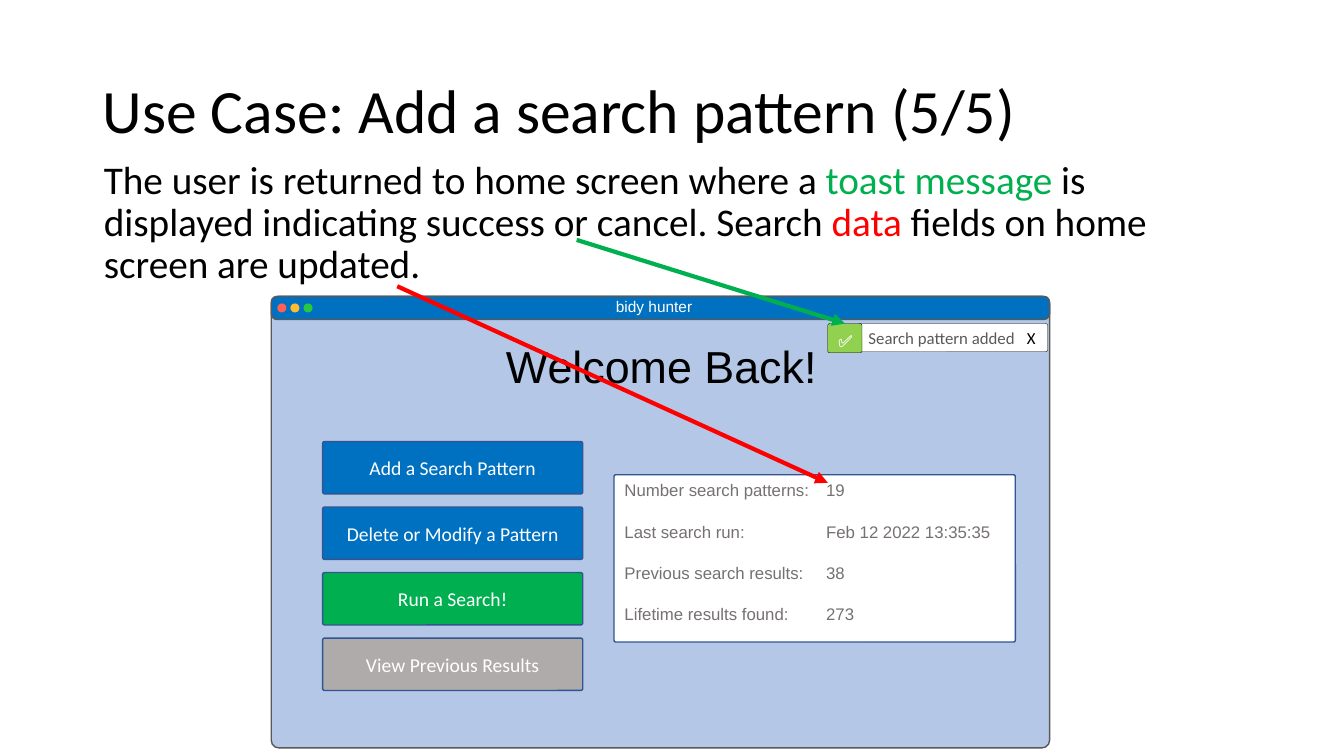
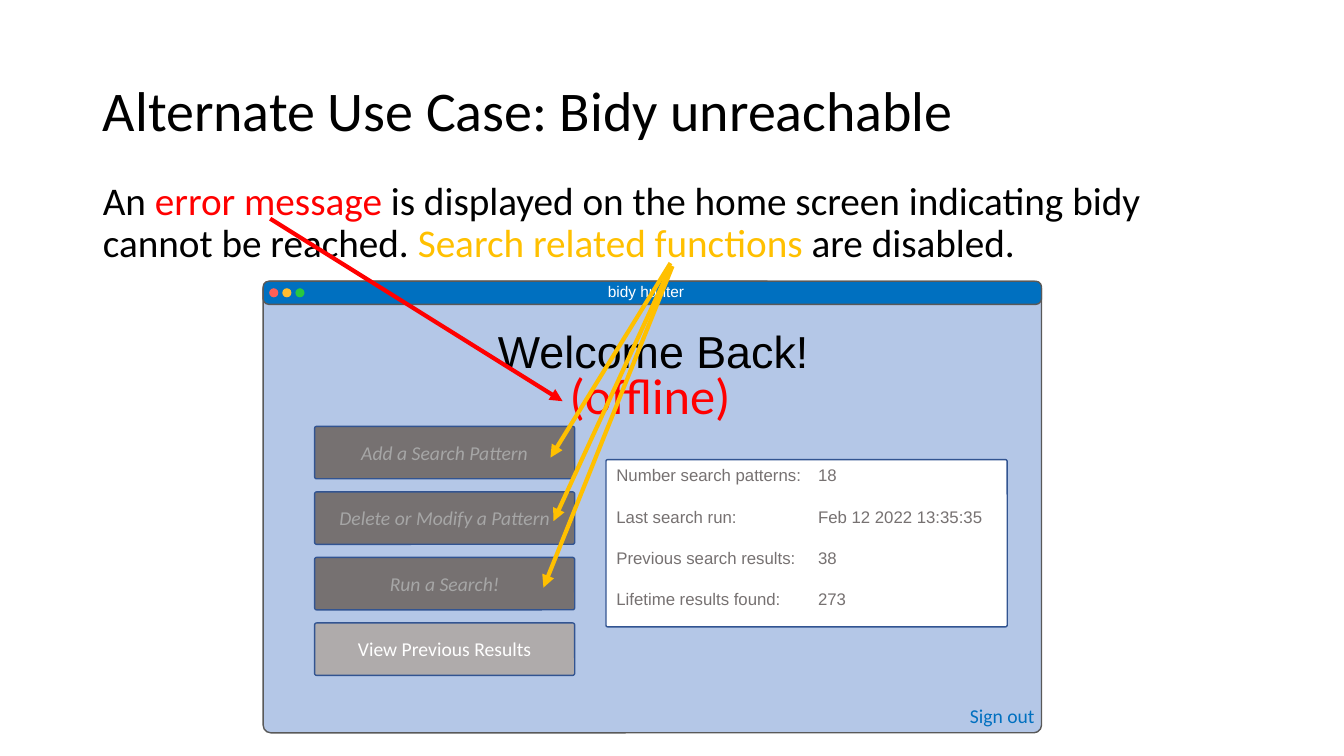
from dataclasses import dataclass

from lxml import etree
from pptx import Presentation
from pptx.dml.color import RGBColor
from pptx.enum.shapes import MSO_CONNECTOR, MSO_SHAPE
from pptx.enum.text import MSO_ANCHOR, MSO_AUTO_SIZE, PP_ALIGN
from pptx.oxml.ns import qn
from pptx.util import Inches, Pt

ROUNDED = MSO_SHAPE.ROUNDED_RECTANGLE
OVAL = MSO_SHAPE.OVAL
STRAIGHT = MSO_CONNECTOR.STRAIGHT
LEFT, CENTER = PP_ALIGN.LEFT, PP_ALIGN.CENTER
TOP, MIDDLE = MSO_ANCHOR.TOP, MSO_ANCHOR.MIDDLE
FIXED, GROW = MSO_AUTO_SIZE.NONE, MSO_AUTO_SIZE.SHAPE_TO_FIT_TEXT


@dataclass(frozen=True)
class Theme:
    sans: str = "Calibri"
    screen_font: str = "Arial"
    black: str = "000000"
    white: str = "FFFFFF"
    red: str = "FF0000"
    green: str = "00B050"
    amber: str = "FFC000"
    blue: str = "0070C0"
    window: str = "B4C7E7"
    frame: str = "595959"
    border: str = "325491"
    silver: str = "AFABAB"
    disabled: str = "767171"
    disabled_text: str = "A6A6A6"
    success: str = "92D050"
    dots: tuple = ("FF5F57", "FFBC2E", "28C840")
    title_size: int = 44
    long_title_size: int = 40
    body_size: int = 28
    offline_size: int = 36
    welcome_size: int = 32
    button_size: int = 14
    small_size: int = 12
    bar_size: int = 11


THEME = Theme()


@dataclass(frozen=True)
class Box:
    left: float
    top: float
    width: float
    height: float

    def inside(self, left, top, width, height):
        return Box(self.left + left, self.top + top, width, height)

    def lengths(self):
        return [Inches(value) for value in (self.left, self.top, self.width, self.height)]


TITLE_BOX = Box(0.92, 0.4, 11.5, 1.45)
BUTTONS = ("Add a Search Pattern", "Delete or Modify a Pattern",
           "Run a Search!", "View Previous Results")


def set_attributes(target, values):
    for name, value in values.items():
        setattr(target, name, value)


def add_span(para, text, size, color=THEME.black, font=THEME.sans, italic=False):
    span = para.add_run()
    span.text = text
    set_attributes(span.font, {"name": font, "size": Pt(size), "italic": italic})
    span.font.color.rgb = RGBColor.from_string(color)


def add_tab_stop(para, position):
    tabs = etree.SubElement(para._p.get_or_add_pPr(), qn("a:tabLst"))
    etree.SubElement(tabs, qn("a:tab"), pos=str(Inches(position)), algn="l")


def add_panel(parent, box, fill, line, corner=None, width=1, kind=ROUNDED):
    panel = parent.shapes.add_shape(kind, *box.lengths())
    panel.shadow.inherit = False
    panel.fill.solid()
    panel.fill.fore_color.rgb = RGBColor.from_string(fill)
    if corner is not None:
        panel.adjustments[0] = corner
    if line is None:
        panel.line.fill.background()
    else:
        panel.line.color.rgb = RGBColor.from_string(line)
        panel.line.width = Pt(width)
    set_attributes(panel.text_frame, {"word_wrap": True, "vertical_anchor": MIDDLE})
    panel.text_frame.paragraphs[0].alignment = CENTER
    return panel


def add_label(parent, box, text, **style):
    label = parent.shapes.add_textbox(*box.lengths())
    set_attributes(label.text_frame, {"word_wrap": False, "auto_size": GROW})
    add_span(label.text_frame.paragraphs[0], text, **style)


def add_arrow(page, start, end, color):
    arrow = page.shapes.add_connector(STRAIGHT, *map(Inches, start + end))
    arrow.line.color.rgb = RGBColor.from_string(color)
    arrow.line.width = Pt(3)
    properties = arrow._element.spPr
    etree.SubElement(properties.find(qn("a:ln")), qn("a:tailEnd"), type="triangle")
    etree.SubElement(properties, qn("a:effectLst"))


def fill_placeholder(holder, box, spans, size, anchor):
    set_attributes(holder, dict(zip(("left", "top", "width", "height"), box.lengths())))
    set_attributes(holder.text_frame, {"word_wrap": True, "auto_size": FIXED,
                                       "vertical_anchor": anchor})
    para = holder.text_frame.paragraphs[0]
    set_attributes(para, {"alignment": LEFT, "line_spacing": 0.9,
                          "space_before": Pt(10 if anchor == TOP else 0)})
    properties = para._p.get_or_add_pPr()
    properties.set("marL", "0")
    properties.set("indent", "0")
    etree.SubElement(properties, qn("a:buNone"))
    for text, color in spans:
        add_span(para, text, size, color)


def add_title_bar(parent, box):
    add_panel(parent, box, THEME.blue, THEME.frame, 0.248)
    for index, color in enumerate(THEME.dots):
        add_panel(parent, box.inside(0.06 + 0.13 * index, 0.07, 0.09, 0.09),
                  color, None, kind=OVAL)
    add_label(parent, box.inside(3.32, -0.04, 1.02, 0.29), "bidy hunter",
              size=THEME.bar_size, color=THEME.white, font=THEME.screen_font)


def add_buttons(parent, box, styles):
    for index, (text, (fill, color, italic)) in enumerate(zip(BUTTONS, styles)):
        button = add_panel(parent, box.inside(0, 0.65 * index, box.width, 0.52),
                           fill, THEME.border, 0.038)
        add_span(button.text_frame.paragraphs[0], text, THEME.button_size, color,
                 italic=italic)


def add_statistics(parent, box, pattern_count):
    card = add_panel(parent, box, THEME.white, THEME.border, 0.011)
    frame = card.text_frame
    frame.vertical_anchor = TOP
    rows = (("Number search patterns:", pattern_count),
            ("Last search run:", "Feb 12 2022 13:35:35"),
            ("Previous search results:", "38"),
            ("Lifetime results found:", "273"))
    for index, row in enumerate(rows):
        para = frame.add_paragraph() if index else frame.paragraphs[0]
        set_attributes(para, {"alignment": LEFT, "space_after": Pt(15)})
        add_tab_stop(para, 2)
        add_span(para, "\t".join(row), THEME.small_size, THEME.disabled,
                 THEME.screen_font)


def add_window(page, box, styles, pattern_count):
    group = page.shapes.add_group_shape()
    add_panel(group, box, THEME.window, THEME.frame, 0.017)
    add_title_bar(group, box.inside(0, 0, box.width, 0.23))
    add_label(group, box.inside(2.23, 0.37, 3.31, 0.64), "Welcome Back!",
              size=THEME.welcome_size, font=THEME.screen_font)
    add_buttons(group, box.inside(0.51, 1.44, 2.58, 2.47), styles)
    add_statistics(group, box.inside(3.4, 1.77, 3.98, 1.66), pattern_count)
    return group


def add_toast(page, box):
    group = page.shapes.add_group_shape()
    message = add_panel(group, box.inside(0.3, 0, 1.88, 0.28),
                        THEME.white, THEME.black, 0.068, 0.25)
    message.text_frame.margin_right = 0
    para = message.text_frame.paragraphs[0]
    para.alignment = LEFT
    add_tab_stop(para, 1.57)
    add_span(para, "Search pattern added\t", THEME.small_size, THEME.frame)
    add_span(para, "X", THEME.small_size)
    badge = add_panel(group, box.inside(0, 0, 0.34, 0.29),
                      THEME.success, THEME.black, 0.068, 0.25)
    badge.text_frame.margin_top = Inches(0.1)
    add_span(badge.text_frame.paragraphs[0], "✅", THEME.small_size, THEME.white)


def add_page(deck, title, title_size, body_box, spans):
    page = deck.slides.add_slide(deck.slide_layouts[1])
    fill_placeholder(page.shapes.title, TITLE_BOX, [(title, THEME.black)],
                     title_size, MIDDLE)
    fill_placeholder(page.placeholders[1], body_box, spans, THEME.body_size, TOP)
    return page


def add_success_page(deck):
    page = add_page(deck, "Use Case: Add a search pattern (5/5)", THEME.title_size,
                    Box(0.93, 1.54, 10.67, 5.15), [
                        ("The user is returned to home screen where a ", THEME.black),
                        ("toast message ", THEME.green),
                        ("is displayed indicating success or cancel. Search ", THEME.black),
                        ("data", THEME.red),
                        (" fields on home screen are updated.", THEME.black)])
    window = Box(2.69, 2.94, 7.72, 4.48)
    styles = [(fill, THEME.white, False)
              for fill in (THEME.blue, THEME.blue, THEME.green, THEME.silver)]
    add_window(page, window, styles, "19")
    add_toast(page, window.inside(5.52, 0.27, 2.18, 0.29))
    add_arrow(page, (5.72, 2.38), (8.38, 3.21), THEME.green)
    add_arrow(page, (3.94, 2.84), (8.21, 4.79), THEME.red)


def add_offline_page(deck):
    page = add_page(deck, "Alternate Use Case: Bidy unreachable", THEME.long_title_size,
                    Box(0.92, 1.75, 11.5, 1.19), [
                        ("An ", THEME.black),
                        ("error message ", THEME.red),
                        ("is displayed on the home screen indicating bidy "
                         "cannot be reached. ", THEME.black),
                        ("Search related functions ", THEME.amber),
                        ("are disabled.", THEME.black)])
    window = Box(2.61, 2.79, 7.72, 4.48)
    styles = [(THEME.disabled, THEME.disabled_text, True)] * 3
    styles.append((THEME.silver, THEME.white, False))
    group = add_window(page, window, styles, "18")
    add_label(group, window.inside(6.91, 4.14, 0.85, 0.34), "Sign out",
              size=THEME.button_size, color=THEME.blue)
    add_arrow(page, (2.68, 2.17), (5.58, 3.98), THEME.red)
    add_label(page, window.inside(2.94, 0.77, 1.82, 0.71), "(offline)",
              size=THEME.offline_size, color=THEME.red)
    for start, end in (((6.65, 2.61), (5.46, 4.54)),
                       ((6.65, 2.65), (5.49, 5.17)),
                       ((6.67, 2.64), (5.39, 5.83))):
        add_arrow(page, start, end, THEME.amber)


def main():
    deck = Presentation()
    set_attributes(deck, {"slide_width": Inches(13.33), "slide_height": Inches(7.5)})
    add_success_page(deck)
    add_offline_page(deck)
    deck.save("out.pptx")


if __name__ == "__main__":
    main()
